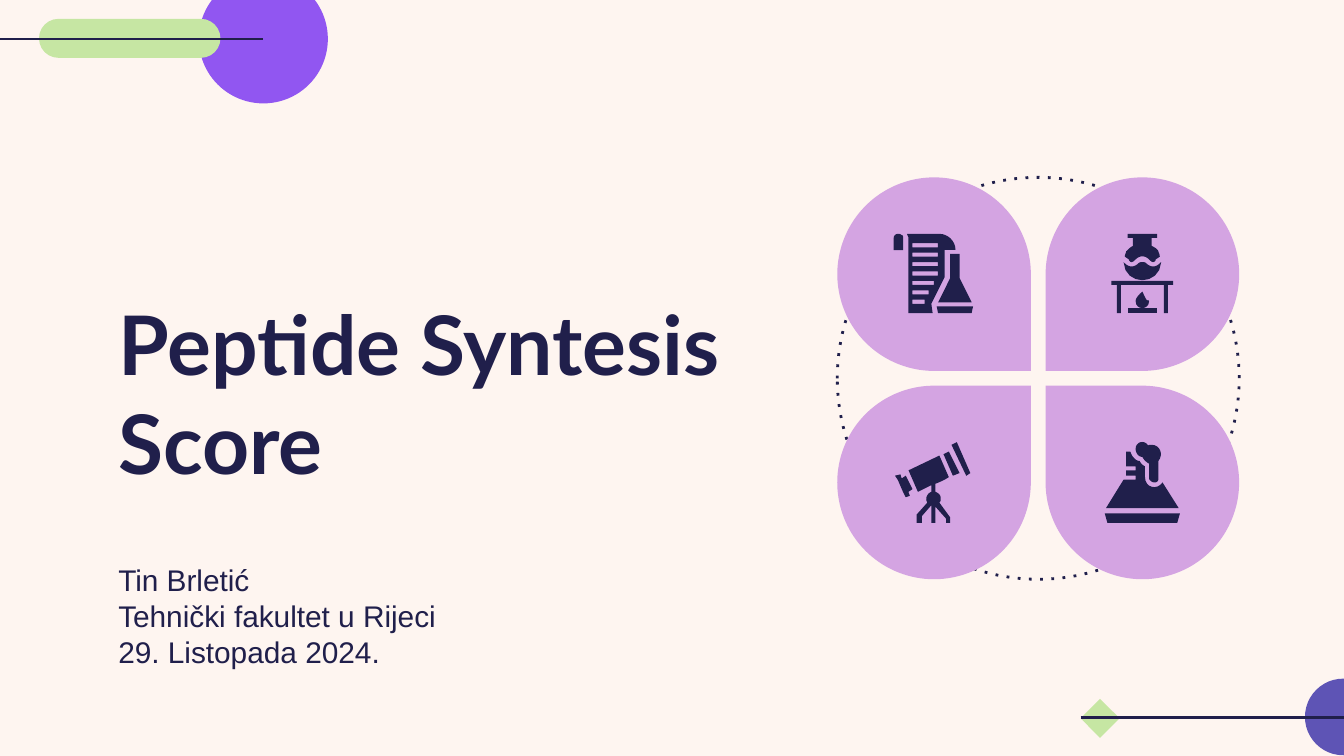
from lxml.etree import SubElement
from pptx import Presentation
from pptx.dml.color import RGBColor
from pptx.enum.dml import MSO_LINE
from pptx.enum.shapes import MSO_CONNECTOR, MSO_SHAPE
from pptx.enum.text import MSO_ANCHOR, MSO_AUTO_SIZE, PP_ALIGN
from pptx.oxml.ns import qn
from pptx.util import Inches, Pt

CREAM = RGBColor(0xFE, 0xF5, 0xF0)
NAVY = RGBColor(0x20, 0x1F, 0x4B)
PURPLE = RGBColor(0x91, 0x56, 0xF1)
INDIGO = RGBColor(0x5E, 0x54, 0xB5)
GREEN = RGBColor(0xC6, 0xE6, 0xA3)
LILAC = RGBColor(0xD4, 0xA4, 0xE2)


def rect(left, top, right, bottom):
    """Return the corners of a rectangle as one contour."""
    return [(left, top), (right, top), (right, bottom), (left, bottom)]


RULES = [rect(56, 49 + 7 * row, right, 52 + 7 * row)
         for row, right in enumerate([75, 75, 75, 75, 72, 68, 65])]
SCROLL = [
    [[(45, 42), (44, 42, 42, 43, 42, 45), (42, 54), (49, 54), (49, 45),
      (49, 44, 49, 43, 48, 43), (47, 42, 46, 42, 45, 42)]],
    [[(80, 74), (80, 54), (88, 54), (88, 47, 82, 42, 76, 42), (52, 42),
      (52, 43, 53, 44, 53, 45), (53, 101), (71, 101), (70, 94)], *RULES],
    [[(74, 96), (75, 101), (100, 101), (101, 96)]],
    [[(84, 57), (84, 75), (75, 93), (100, 93), (91, 75), (91, 57)]],
]
BURNER = [
    [rect(61, 97, 83, 101)],
    [[(49, 77), (49, 80), (53, 80), (53, 101), (56, 101), (56, 80), (88, 80),
      (88, 101), (91, 101), (91, 80), (95, 80), (95, 77)]],
    [[(64, 63), (65, 63, 66, 62, 67, 61), (70, 58, 74, 58, 77, 61),
      (78, 62, 79, 63, 80, 63), (81, 63, 82, 62, 82, 61), (85, 59),
      (85, 57, 84, 56, 84, 55), (83, 53, 81, 52, 79, 51), (79, 45), (83, 45),
      (83, 42), (61, 42), (61, 45), (65, 45), (65, 51),
      (63, 52, 62, 53, 60, 55), (60, 56, 59, 57, 59, 59), (62, 61),
      (62, 62, 63, 63, 64, 63)]],
    [[(86, 63), (85, 64), (82, 67, 78, 67, 75, 64), (74, 63, 73, 63, 72, 63),
      (71, 63, 70, 63, 69, 64), (66, 67, 62, 67, 59, 64), (58, 63),
      (59, 81, 85, 81, 86, 63)]],
    [[(77, 92), (77, 91, 76, 92, 75, 91), (74, 89, 72, 85, 72, 85),
      (72, 85, 67, 89, 67, 92), (67, 99, 77, 99, 77, 92)]],
]
SCOPE = [
    [[(51, 67), (48, 69), (47, 66), (43, 67), (45, 70),
      (46, 72, 50, 82, 51, 83), (54, 82), (53, 79), (56, 77)]],
    [[(85, 44), (89, 42), (99, 65), (96, 67)]],
    [[(79, 51), (86, 67), (91, 65), (83, 49)]],
    [[(77, 84), (77, 82, 76, 80, 73, 79), (73, 73), (76, 72, 82, 69, 83, 68),
      (76, 52), (53, 63), (60, 79), (70, 74), (70, 79),
      (67, 80, 65, 84, 67, 87), (59, 96), (59, 102), (63, 102), (63, 97),
      (70, 89), (70, 102), (73, 102), (73, 90), (81, 99), (81, 102),
      (84, 102), (84, 98), (76, 87), (77, 86, 77, 85, 77, 84)]],
]
FLASK = [
    [[(44, 95), (46, 102), (98, 102), (100, 95)]],
    [[(87, 72), (83, 78, 74, 76, 74, 68), (74, 60), (72, 59, 71, 58, 70, 56),
      (68, 56, 67, 55, 66, 54), (64, 52, 64, 51, 63, 49), (60, 49), (60, 60),
      (67, 60), (67, 63), (60, 63), (60, 67), (67, 67), (67, 70), (58, 70),
      (45, 91), (99, 91)]],
    [[(72, 53), (73, 55, 75, 57, 77, 58), (77, 69), (77, 70, 79, 72, 81, 72),
      (83, 72, 84, 71, 84, 69), (84, 56), (88, 51, 85, 44, 79, 44),
      (78, 44, 77, 44, 77, 44), (76, 45, 76, 44, 76, 44),
      (73, 40, 67, 42, 67, 47), (67, 50, 69, 53, 72, 53)]],
]
PETALS = [(0, 0, 90, SCROLL), (1, 0, 180, BURNER),
          (0, 1, 0, SCOPE), (1, 1, 270, FLASK)]


def paint(shape, color):
    """Give a shape a flat fill with no outline or shadow."""
    shape.shadow.inherit = False
    shape.fill.solid()
    shape.fill.fore_color.rgb = color
    shape.line.fill.background()


def add_form(slide, kind, left, top, width, height, color):
    """Add a filled preset shape."""
    form = slide.shapes.add_shape(
        kind, Inches(left), Inches(top), Inches(width), Inches(height))
    paint(form, color)
    return form


def add_rule(slide, left, top, width):
    """Add a horizontal navy line."""
    rule = slide.shapes.add_connector(
        MSO_CONNECTOR.STRAIGHT, Inches(left), Inches(top),
        Inches(left + width), Inches(top))
    rule.line.color.rgb = NAVY
    rule.line.width = Pt(1.5)
    SubElement(rule._element.spPr, qn("a:effectLst"))


def trace(contour, steps=8):
    """Flatten straight and Bezier steps, in hundredths of an inch, into points."""
    points = [contour[0]]
    for step in contour[1:]:
        if len(step) == 2:
            points.append(step)
            continue
        nodes = [points[-1], step[:2], step[2:4], step[4:]]
        for t in (n / steps for n in range(1, steps + 1)):
            weights = ((1 - t) ** 3, 3 * t * (1 - t) ** 2,
                       3 * t * t * (1 - t), t ** 3)
            points.append(tuple(sum(w * node[axis] for w, node in zip(weights, nodes))
                                for axis in (0, 1)))
    return [(Inches(x / 100), Inches(y / 100)) for x, y in points]


def add_icon(slide, left, top, parts):
    """Draw an icon as a group of navy outlines."""
    group = slide.shapes.add_group_shape()
    for part in parts:
        first, *holes = [trace(contour) for contour in part]
        pen = group.shapes.build_freeform(*first[0], scale=1.0)
        pen.add_line_segments(first[1:], close=True)
        for hole in holes:
            pen.move_to(*hole[0])
            pen.add_line_segments(hole[1:], close=True)
        paint(pen.convert_to_shape(Inches(left), Inches(top)), NAVY)


def add_flower(slide, left, top, size):
    """Place four petals with icons on a dotted ring."""
    ring = slide.shapes.add_shape(
        MSO_SHAPE.OVAL, Inches(left), Inches(top), Inches(size), Inches(size))
    ring.shadow.inherit = False
    ring.fill.background()
    ring.line.color.rgb = NAVY
    ring.line.width = Pt(1.5)
    ring.line.dash_style = MSO_LINE.ROUND_DOT
    ring._element.spPr.find(".//" + qn("a:prstDash")).set("val", "dot")
    petal = 1.44
    for col, row, angle, icon in PETALS:
        x, y = left + col * (size - petal), top + row * (size - petal)
        form = add_form(slide, MSO_SHAPE.TEAR, x, y, petal, petal, LILAC)
        form.rotation = angle
        add_icon(slide, x, y, icon)


def add_header(slide, left, top):
    """Place the circle, pill and line of the top corner."""
    add_form(slide, MSO_SHAPE.OVAL, left + 1.48, top, 0.96, 0.96, PURPLE)
    pill = add_form(slide, MSO_SHAPE.ROUNDED_RECTANGLE,
                    left + 0.29, top + 0.33, 1.35, 0.29, GREEN)
    pill.adjustments[0] = 0.5
    add_rule(slide, left, top + 0.48, 1.96)


def add_footer(slide, left, top):
    """Place the circle, diamond and line of the bottom corner."""
    add_form(slide, MSO_SHAPE.OVAL, left + 1.67, top, 0.57, 0.57, INDIGO)
    add_form(slide, MSO_SHAPE.DIAMOND, left, top + 0.15, 0.29, 0.29, GREEN)
    add_rule(slide, left, top + 0.29, 2.25)


def add_text(holder, text, box, font, size, bold=False, anchor=MSO_ANCHOR.TOP):
    """Move a placeholder into its box and fill it with formatted text."""
    holder.left, holder.top, holder.width, holder.height = map(Inches, box)
    frame = holder.text_frame
    frame.text = text
    frame.word_wrap = True
    frame.auto_size = MSO_AUTO_SIZE.NONE
    frame.vertical_anchor = anchor
    frame.margin_left = frame.margin_right = Inches(0.1)
    frame.margin_top = frame.margin_bottom = Inches(0.1)
    for para in frame.paragraphs:
        para.alignment = PP_ALIGN.LEFT
        para.space_before = Pt(0)
        para.line_spacing = 1.0
        for run in para.runs:
            run.font.name, run.font.size, run.font.bold = font, Pt(size), bold
            run.font.color.rgb = NAVY


def main():
    """Build the title slide and save it."""
    deck = Presentation()
    deck.slide_width = Inches(10)
    deck.slide_height = deck.slide_width * 9 // 16
    slide = deck.slides.add_slide(deck.slide_layouts[0])
    slide.background.fill.solid()
    slide.background.fill.fore_color.rgb = CREAM
    add_header(slide, 0, -0.19)
    add_footer(slide, 8.04, 5.05)
    add_text(slide.shapes.title, "Peptide Syntesis\vScore", (0.78, 1.42, 5.01, 2.33),
             "Lato", 44, bold=True, anchor=MSO_ANCHOR.BOTTOM)
    add_text(slide.placeholders[1],
             "Tin Brletić\nTehnički fakultet u Rijeci\n29. Listopada 2024.",
             (0.78, 4.08, 5.01, 0.94), "Arial", 16)
    add_flower(slide, 6.23, 1.32, 2.99)
    deck.save("out.pptx")


if __name__ == "__main__":
    main()
